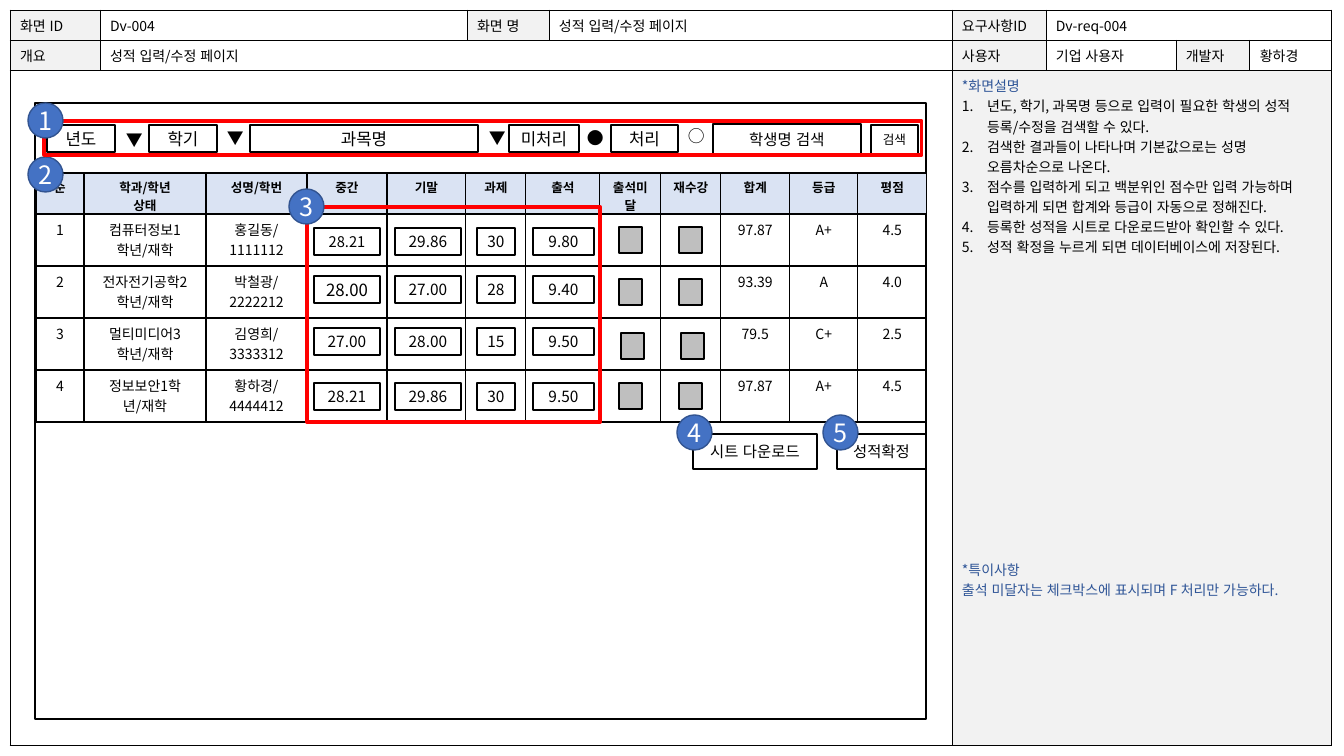
import pptx
import pptx.util
import pptx.dml.color
import pptx.enum.lang
import pptx.enum.shapes
import pptx.enum.text
import pptx.oxml

SCALE = 914400 / 100.8
FONT = "Noto Sans CJK KR"
COLORS = {"ink": "000000", "paper": "FFFFFF", "label": "F2F2F2", "note": "2F5597",
          "header": "DAE3F3", "check": "BFBFBF", "badge": "4472C4",
          "badge_edge": "325491", "highlight": "FF0000"}
ALIGN = pptx.enum.text.PP_ALIGN
ANCHOR = pptx.enum.text.MSO_ANCHOR
SHAPE = pptx.enum.shapes.MSO_SHAPE


def px(length):
    """Turn pixels into EMU."""
    return pptx.util.Emu(round(length * SCALE))


def rgb(name):
    """Look up a named colour."""
    return pptx.dml.color.RGBColor.from_string(COLORS[name])


def child(parent, tag, **attributes):
    """Append a DrawingML element to a parent."""
    element = pptx.oxml.parse_xml(
        f'<a:{tag} xmlns:a="http://schemas.openxmlformats.org/drawingml/2006/main"/>')
    for key, value in attributes.items():
        element.set(key, str(value))
    parent.append(element)
    return element


def write(frame, text, size=10, color="ink", bold=False, align=ALIGN.LEFT,
          numbered=False, gap=0, more=False):
    """Write one paragraph per line; more=True appends to existing text."""
    for index, line in enumerate(text.split("\n")):
        paragraph = frame.add_paragraph() if more or index else frame.paragraphs[0]
        paragraph.alignment = align
        paragraph.space_before = pptx.util.Pt(gap)
        if numbered:
            properties = paragraph._p.get_or_add_pPr()
            properties.set("marL", "228600")
            properties.set("indent", "-228600")
            child(properties, "buFont", typeface="+mj-lt")
            child(properties, "buAutoNum", type="arabicPeriod")
        run = paragraph.add_run()
        run.text = line
        run.font.size = pptx.util.Pt(size)
        run.font.name = FONT
        run.font.bold = bold
        run.font.color.rgb = rgb(color)
        run.font.language_id = pptx.enum.lang.MSO_LANGUAGE_ID.KOREAN
        child(run._r.get_or_add_rPr(), "ea", typeface=FONT)


def border(cell, points, sides="LRTB"):
    """Draw black borders on the given sides, in schema order."""
    properties = cell._tc.get_or_add_tcPr()
    for position, side in enumerate(sides):
        edge = child(properties, f"ln{side}", w=round(points * 12700))
        child(child(edge, "solidFill"), "srgbClr", val=COLORS["ink"])
        properties.remove(edge)
        properties.insert(position, edge)


class Screen:
    """Holds the current slide and its drawing style."""

    def __init__(self, slide):
        """Keep the slide."""
        self.slide = slide

    def box(self, x, y, w, h, text="", size=11, fill="paper", edge="ink",
            weight=1, color="ink", kind=SHAPE.RECTANGLE):
        """Add an outlined shape with centred text."""
        shape = self.slide.shapes.add_shape(kind, px(x), px(y), px(w), px(h))
        shape.shadow.inherit = False
        if fill:
            shape.fill.solid()
            shape.fill.fore_color.rgb = rgb(fill)
        else:
            shape.fill.background()
        shape.line.color.rgb = rgb(edge)
        shape.line.width = pptx.util.Pt(weight)
        if text:
            frame = shape.text_frame
            frame.margin_left = frame.margin_right = 0
            frame.margin_top = frame.margin_bottom = 0
            frame.vertical_anchor = ANCHOR.MIDDLE
            write(frame, text, size=size, color=color, align=ALIGN.CENTER)

    def badge(self, x, y, number):
        """Add a numbered circle."""
        self.box(x, y, 35, 35, number, 18, "badge", "badge_edge",
                 color="paper", kind=SHAPE.OVAL)

    def symbol(self, x, y, mark):
        """Add a one-character text box."""
        frame = self.slide.shapes.add_textbox(px(x), px(y), px(33), px(30)).text_frame
        frame.word_wrap = True
        write(frame, mark, size=12)

    def table(self, x, y, widths, heights, weight):
        """Add a bordered table without fills."""
        grid = self.slide.shapes.add_table(
            len(heights), len(widths), px(x), px(y),
            px(sum(widths)), px(sum(heights))).table
        grid.first_row = grid.horz_banding = False
        for column, width in zip(grid.columns, widths):
            column.width = px(width)
        for row, height in zip(grid.rows, heights):
            row.height = px(height)
        for cell in grid.iter_cells():
            cell.fill.background()
            border(cell, weight)
        return grid

    def fill(self, cell, color):
        """Fill a table cell."""
        cell.fill.solid()
        cell.fill.fore_color.rgb = rgb(color)


deck = pptx.Presentation()
deck.slide_width, deck.slide_height = px(1344), px(756)
screen = Screen(deck.slides.add_slide(deck.slide_layouts[6]))

# Page frame: screen details, mock-up area and description
frame_table = screen.table(10, 10, [90, 367, 82, 403, 94, 130, 74, 82], [30, 30, 675], 0.5)
for first, last in [((0, 5), (0, 7)), ((1, 1), (1, 3)), ((2, 0), (2, 3)), ((2, 4), (2, 7))]:
    frame_table.cell(*first).merge(frame_table.cell(*last))
details = [
    ["화면 ID", "Dv-004", "화면 명", "성적 입력/수정 페이지", "요구사항ID", "Dv-req-004"],
    ["개요", "성적 입력/수정 페이지", "", "", "사용자", "기업 사용자", "개발자", "황하경"],
]
labels = {(0, 0), (0, 2), (0, 4), (1, 0), (1, 4), (1, 6), (2, 4)}
for r, row in enumerate(details + [["", "", "", "", ""]]):
    for c, text in enumerate(row):
        cell = frame_table.cell(r, c)
        screen.fill(cell, "label" if (r, c) in labels else "paper")
        if text:
            write(cell.text_frame, text)
description = frame_table.cell(2, 4).text_frame
write(description, "*화면설명", color="note")
write(description, "년도, 학기, 과목명 등으로 입력이 필요한 학생의 성적 등록/수정을 검색할 수 있다.\n"
      "검색한 결과들이 나타나며 기본값으로는 성명 오름차순으로 나온다.\n"
      "점수를 입력하게 되고 백분위인 점수만 입력 가능하며 입력하게 되면 합계와 등급이 자동으로 정해진다.\n"
      "등록한 성적을 시트로 다운로드받아 확인할 수 있다.\n"
      "성적 확정을 누르게 되면 데이터베이스에 저장된다.", numbered=True, more=True)
write(description, "*특이사항", color="note", gap=216, more=True)
write(description, "출석 미달자는 체크박스에 표시되며 F 처리만 가능하다.", color="note", more=True)

# Search bar
screen.box(35, 103, 891, 616)
for x, width, text in [(47, 68, "년도"), (149, 68, "학기"), (250, 228, "과목명"),
                       (509, 70, "미처리"), (611, 67, "처리")]:
    screen.box(x, 125, width, 27, text, 12)
for x, y, mark in [(116, 125, "▼"), (217, 123, "▼"), (479, 123, "▼"),
                   (577, 123, "●"), (678, 121, "○")]:
    screen.symbol(x, y, mark)

# Grade table
headings = ["순", "학과/학년\n상태", "성명/학번", "중간", "기말", "과제", "출석",
            "출석미달", "재수강", "합계", "등급", "평점"]
students = [
    ("컴퓨터정보1학년/재학", "홍길동/1111112", "97.87", "A+", "4.5"),
    ("전자전기공학2학년/재학", "박철광/2222212", "93.39", "A", "4.0"),
    ("멀티미디어3학년/재학", "김영희/3333312", "79.5", "C+", "2.5"),
    ("정보보안1학년/재학", "황하경/4444412", "97.87", "A+", "4.5"),
]
grades = screen.table(36, 173, [48, 122, 101, 80, 79, 60, 74, 61, 60, 69, 68, 69],
                      [41] + [52] * 4, 1)
for c, heading in enumerate(headings):
    cell = grades.cell(0, c)
    cell.margin_bottom = 0
    screen.fill(cell, "header")
    write(cell.text_frame, heading, size=9, bold=True, align=ALIGN.CENTER)
for r, student in enumerate(students, 1):
    for c, text in zip((0, 1, 2, 9, 10, 11), (str(r), *student)):
        write(grades.cell(r, c).text_frame, text, align=ALIGN.CENTER)

# Buttons
for x, y, width, height, text, size in [
        (713, 124, 148, 30, "학생명 검색", 11), (837, 434, 89, 35, "성적확정", 11),
        (871, 125, 47, 29, "검색", 9), (693, 434, 124, 35, "시트 다운로드", 11)]:
    screen.box(x, y, width, height, text, size)

# Score inputs and check boxes
scores = [(228, ["28.21", "29.86", "30", "9.80"]), (276, ["28.00", "27.00", "28", "9.40"]),
          (328, ["27.00", "28.00", "15", "9.50"]), (383, ["28.21", "29.86", "30", "9.50"])]
special_sizes = {(228, 314): 10.5, (276, 314): 12}
for y, values in scores:
    for x, width, value in zip((314, 395, 477, 533), (66, 66, 38, 61), values):
        screen.box(x, y, width, 27, value, special_sizes.get((y, x), 11))
for y, shift in [(227, 0), (279, 0), (333, 2), (383, 0)]:
    for x in (619, 679):
        screen.box(x + shift, y, 23, 26, fill="check")

# Callouts
for x, y, number in [(28, 157, "2"), (677, 415, "4"), (823, 415, "5")]:
    screen.badge(x, y, number)
screen.box(307, 207, 293, 215, fill=None, edge="highlight", weight=3)
screen.badge(289, 189, "3")
screen.box(44, 121, 878, 34, fill=None, edge="highlight", weight=2.25)
screen.badge(28, 103, "1")

deck.save("out.pptx")
